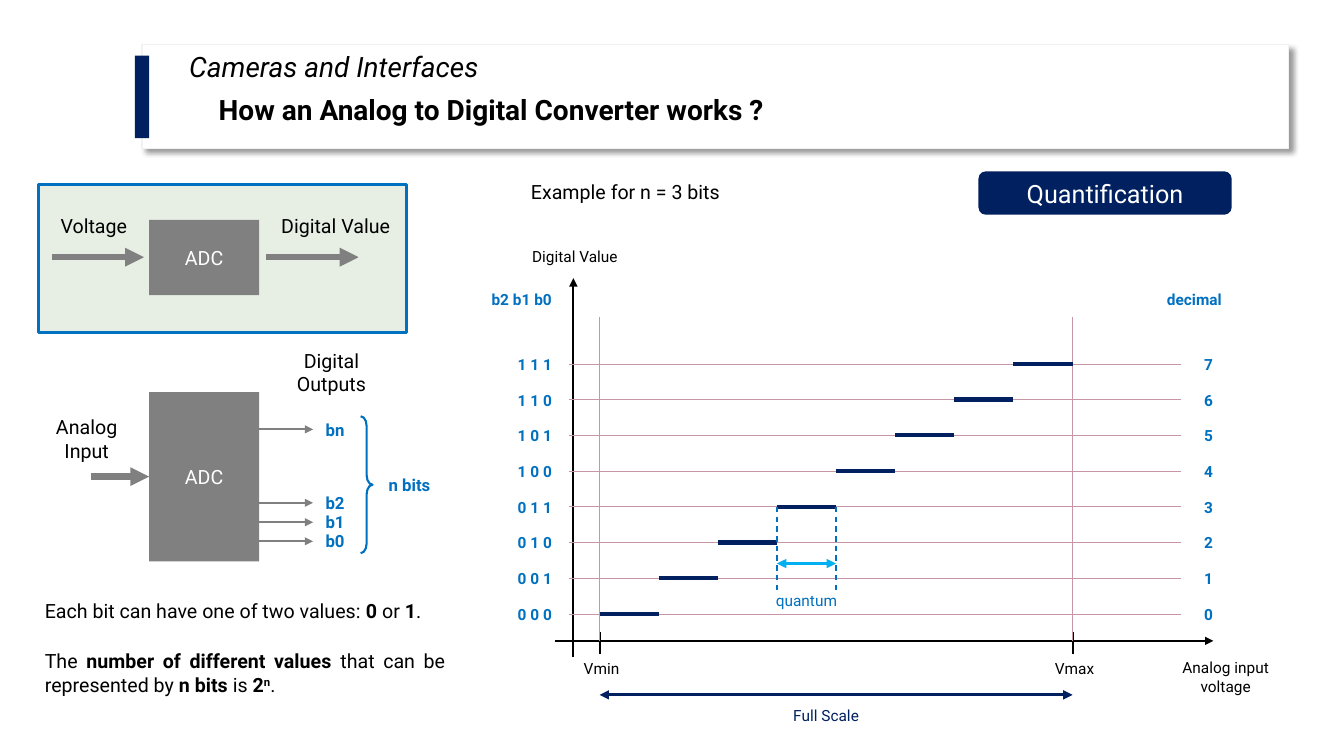
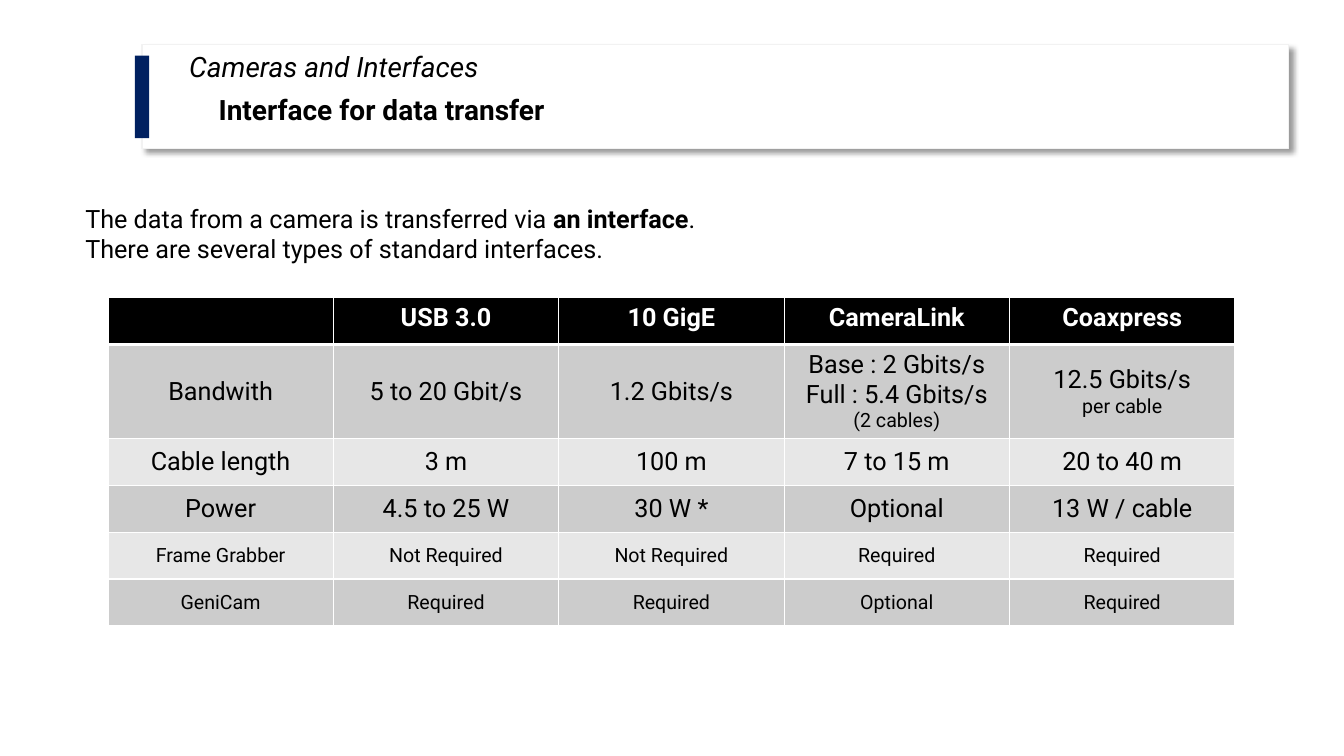
from pptx import Presentation
from pptx.dml.color import RGBColor
from pptx.enum.dml import MSO_LINE
from pptx.enum.shapes import MSO_CONNECTOR, MSO_SHAPE
from pptx.enum.text import MSO_ANCHOR, PP_ALIGN
from pptx.oxml import parse_xml
from pptx.oxml.ns import nsdecls, qn
from pptx.util import Cm, Pt

FONT = "Roboto"
COLORS = {
    "white": "FFFFFF", "black": "000000", "navy": "002060", "blue": "0070C0",
    "sky": "00B0F0", "grey": "808080", "grid": "C696A7", "edge": "F2F2F2",
    "panel": "E7EFE4", "dark_row": "CCCCCC", "light_row": "E7E7E7",
}
LEFT, CENTER, JUSTIFY = PP_ALIGN.LEFT, PP_ALIGN.CENTER, PP_ALIGN.JUSTIFY
MIDDLE, TOP = MSO_ANCHOR.MIDDLE, MSO_ANCHOR.TOP
RECTANGLE, ROUNDED = MSO_SHAPE.RECTANGLE, MSO_SHAPE.ROUNDED_RECTANGLE
BRACE = MSO_SHAPE.RIGHT_BRACE
STRAIGHT, DASH = MSO_CONNECTOR.STRAIGHT, MSO_LINE.DASH
BOLD, SUPERSCRIPT = "bold", "superscript"


def rgb(name):
    return RGBColor.from_string(COLORS[name])


def style_font(font, size, color, bold=False, italic=False):
    font.name, font.size = FONT, Pt(size)
    font.bold, font.italic = bold, italic
    font.color.rgb = rgb(color)


def fill_paragraph(paragraph, content, size, color, align, bold=False, italic=False):
    """Write a string, or a list of strings and (text, style...) tuples."""
    paragraph.alignment = align
    for part in [content] if isinstance(content, str) else content:
        text, *styles = (part,) if isinstance(part, str) else part
        run = paragraph.add_run()
        run.text = text
        style_font(run.font, size, color, bold or BOLD in styles, italic)
        if SUPERSCRIPT in styles:
            run._r.get_or_add_rPr().set("baseline", "30000")


def add_text(slide, left, top, width, height, paragraphs, size=14, color="black",
             align=CENTER, bold=False, italic=False):
    text_box = slide.shapes.add_textbox(Cm(left), Cm(top), Cm(width), Cm(height))
    frame = text_box.text_frame
    frame.word_wrap = True
    for index, content in enumerate(paragraphs):
        paragraph = frame.add_paragraph() if index else frame.paragraphs[0]
        fill_paragraph(paragraph, content, size, color, align, bold, italic)
    return text_box


def add_block(slide, kind, left, top, width, height, fill=None, line=None,
              line_width=1, text="", size=14):
    shape = slide.shapes.add_shape(kind, Cm(left), Cm(top), Cm(width), Cm(height))
    shape.shadow.inherit = False
    if fill:
        shape.fill.solid()
        shape.fill.fore_color.rgb = rgb(fill)
    else:
        shape.fill.background()
    if line:
        shape.line.color.rgb = rgb(line)
        shape.line.width = Pt(line_width)
    else:
        shape.line.fill.background()
    if text:
        shape.text_frame.vertical_anchor = MIDDLE
        fill_paragraph(shape.text_frame.paragraphs[0], text, size, "white", CENTER)
    return shape


def add_line(slide, x1, y1, x2, y2, color, width, heads=(), dash=None):
    """Draw a line; heads holds "headEnd" (start) and/or "tailEnd" (end)."""
    connector = slide.shapes.add_connector(STRAIGHT, Cm(x1), Cm(y1), Cm(x2), Cm(y2))
    connector.line.color.rgb = rgb(color)
    connector.line.width = Pt(width)
    if dash:
        connector.line.dash_style = dash
    properties = connector._element.spPr
    for head in heads:
        properties.find(qn("a:ln")).append(
            parse_xml(f'<a:{head} {nsdecls("a")} type="triangle"/>'))
    properties.append(parse_xml(f'<a:effectLst {nsdecls("a")}/>'))


ARROW = ("tailEnd",)
DOUBLE_ARROW = ("headEnd", "tailEnd")


def add_title_band(slide, title, left=3.4, top=1.12):
    card = add_block(slide, RECTANGLE, left + 0.18, top, 28.9, 2.62, "white", "edge")
    effects = card._element.spPr.find(qn("a:effectLst"))
    effects.append(parse_xml(
        f'<a:outerShdw {nsdecls("a")} blurRad="50800" dist="38100" dir="2700000" '
        f'algn="tl" rotWithShape="0"><a:srgbClr val="{COLORS["black"]}">'
        '<a:alpha val="40000"/></a:srgbClr></a:outerShdw>'))
    chapter = add_text(slide, left + 1.12, top + 0.1, 23.24, 1.96,
                       ["Cameras and Interfaces"], 20, align=LEFT, italic=True)
    chapter.text_frame.paragraphs[0].line_spacing = 0.9
    add_block(slide, RECTANGLE, left, top + 0.28, 0.36, 2.08, "navy")
    add_text(slide, left + 1.86, top + 1.09, 17.45, 1.12, [title], 20,
             align=LEFT, bold=True)


def add_conversion_panel(slide, left, top):
    add_block(slide, RECTANGLE, left, top, 9.27, 3.73, "panel", "blue", 2.25)
    add_block(slide, RECTANGLE, left + 2.79, top + 0.89, 2.77, 1.9, "grey", text="ADC")
    for label, label_x, width, arrow_x in (("Voltage", 0.1, 2.59, 0.33),
                                           ("Digital Value", 5.66, 3.66, 5.74)):
        add_line(slide, left + arrow_x, top + 1.83, left + arrow_x + 2.33, top + 1.83,
                 "grey", 4.5, ARROW)
        add_text(slide, left + label_x, top + 0.61, width, 0.86, [label])


def add_output_bits(slide, left, top):
    block_x, block_width = left + 2.87, 2.77
    block_right = block_x + block_width
    add_block(slide, RECTANGLE, block_x, top + 1.22, block_width, 4.27, "grey",
              text="ADC")
    add_line(slide, left + 1.4, top + 3.35, block_x, top + 3.35, "grey", 4.5, ARROW)
    add_text(slide, left, top + 1.68, 2.59, 1.45, ["Analog Input"])
    add_text(slide, left + 6.17, top, 2.59, 1.45, ["Digital Outputs"])
    for bit, offset in (("bn", 2.16), ("b2", 4.01), ("b1", 4.5), ("b0", 4.98)):
        y = top + offset
        add_line(slide, block_right, y, block_right + 1.36, y, "grey", 1.5, ARROW)
        add_text(slide, left + 6.87, y - 0.38, 1.37, 0.76, [bit], 12, "blue", bold=True)
    brace = add_block(slide, BRACE, left + 8.2, top + 1.83, 0.3, 3.45,
                      line="blue", line_width=1.5)
    brace.adjustments[0], brace.adjustments[1] = 0.81, 0.5
    add_text(slide, left + 8.3, top + 3.18, 2.26, 0.76, ["n bits"], 12, "blue",
             bold=True)


def add_bit_notes(slide, left, top):
    add_text(slide, left, top, 10.9, 0.86, [
        ["Each bit can have one of two values: ", ("0", BOLD), " or ", ("1", BOLD), "."],
    ], align=LEFT)
    add_text(slide, left, top + 1.27, 10.59, 1.45, [
        ["The ", ("number of different values ", BOLD), "that can be represented by ",
         ("n bits ", BOLD), "is ", ("2", BOLD), ("n", BOLD, SUPERSCRIPT), "."],
    ], align=JUSTIFY)


def add_staircase(slide, left, top, bits=3):
    """Draw the quantification curve, one step for each digital level."""
    levels = 2 ** bits
    step, rise = 1.49, 0.9
    v_min, zero_y = left + 3.21, top + 9.37
    v_max = v_min + levels * step
    axis_x, axis_y = left + 2.55, top + 10.05

    def add_label(center, y, text, color="black", bold=False, width=2.5, height=0.74):
        add_text(slide, center - width / 2, y, width, height, text, 11, color, bold=bold)

    add_line(slide, axis_x, axis_y + 0.41, axis_x, top + 0.91, "black", 1.5, ARROW)
    add_line(slide, axis_x - 0.46, axis_y, axis_x + 16.13, axis_y, "black", 1.5, ARROW)
    add_label(left + 2.59, top, ["Digital Value"], width=4.5)
    add_label(left + 18.99, axis_y + 0.31, ["Analog input", "voltage"],
              width=3.43, height=1.19)
    for x, name in ((v_min, "Vmin"), (v_max, "Vmax")):
        add_line(slide, x, axis_y + 0.33, x, axis_y - 0.22, "black", 1.5)
        add_line(slide, x, top + 1.9, x, axis_y, "grid", 0.5)
        add_label(x + 0.05, axis_y + 0.34, [name])

    bits_center, decimal_center = left + 1.58, left + 18.56
    add_label(left + 1.25, top + 1.09, ["b2 b1 b0"], "blue", True)
    add_label(left + 18.2, top + 1.09, ["decimal"], "blue", True)
    for level in range(levels):
        x, y = v_min + level * step, zero_y - level * rise
        add_line(slide, axis_x - 0.12, y, axis_x + 15.32, y, "grid", 0.5)
        add_line(slide, x, y, x + step, y, "navy", 3)
        code = " ".join(format(level, f"0{bits}b"))
        add_label(bits_center, y - 0.35, [code], "blue", True)
        add_label(decimal_center, y - 0.35, [str(level)], "blue", True)

    quantum_x, quantum_y = v_min + 3 * step, zero_y - 3 * rise
    for x in (quantum_x, quantum_x + step):
        add_line(slide, x, quantum_y, x, quantum_y + 2.1, "blue", 1, dash=DASH)
    add_line(slide, quantum_x, quantum_y + 1.43, quantum_x + step, quantum_y + 1.43,
             "sky", 2.25, DOUBLE_ARROW)
    add_label(quantum_x + step / 2, quantum_y + 2.01, ["quantum"], "blue")
    add_line(slide, v_min, axis_y + 1.36, v_max, axis_y + 1.36, "navy", 2.25,
             DOUBLE_ARROW)
    add_label((v_min + v_max) / 2 - 0.25, axis_y + 1.53, ["Full Scale"], "navy")


def set_cell_borders(cell, bottom_width):
    properties = cell._tc.get_or_add_tcPr()
    for side, width in (("L", 1), ("R", 1), ("T", 1), ("B", bottom_width)):
        properties.append(parse_xml(
            f'<a:ln{side} {nsdecls("a")} w="{Pt(width)}"><a:solidFill>'
            f'<a:srgbClr val="{COLORS["white"]}"/></a:solidFill></a:ln{side}>'))


INTERFACES = [
    ["", "USB 3.0", "10 GigE", "CameraLink", "Coaxpress"],
    ["Bandwith", "5 to 20 Gbit/s", "1.2 Gbits/s",
     "Base : 2 Gbits/s\nFull : 5.4 Gbits/s\n(2 cables)", "12.5 Gbits/s\nper cable"],
    ["Cable length", "3 m", "100 m", "7 to 15 m", "20 to 40 m"],
    ["Power", "4.5 to 25 W", "30 W *", "Optional", "13 W / cable"],
    ["Frame Grabber", "Not Required", "Not Required", "Required", "Required"],
    ["GeniCam", "Required", "Required", "Optional", "Required"],
]
SMALL_ROWS = ("Frame Grabber", "GeniCam")
SMALL_LINES = ("(2 cables)", "per cable")


def add_interface_table(slide, left, top, width=28.4, row_height=1.18):
    row_count, column_count = len(INTERFACES), len(INTERFACES[0])
    table = slide.shapes.add_table(row_count, column_count, Cm(left), Cm(top), Cm(width),
                                   Cm(row_height * (row_count + 1))).table
    for column in table.columns:
        column.width = Cm(width / column_count)
    for row_index, values in enumerate(INTERFACES):
        header = row_index == 0
        fill = "black" if header else "dark_row" if row_index % 2 else "light_row"
        table.rows[row_index].height = Cm(row_height * (2 if row_index == 1 else 1))
        for column_index, value in enumerate(values):
            cell = table.cell(row_index, column_index)
            set_cell_borders(cell, 3 if header else 1)
            cell.fill.solid()
            cell.fill.fore_color.rgb = rgb(fill)
            cell.vertical_anchor = TOP if header else MIDDLE
            cell.text_frame.text = value
            for paragraph in cell.text_frame.paragraphs:
                paragraph.alignment = CENTER
                small = values[0] in SMALL_ROWS or paragraph.text in SMALL_LINES
                for run in paragraph.runs:
                    style_font(run.font, 14 if small else 18,
                               "white" if header else "black", header)


def add_slide(presentation, title):
    slide = presentation.slides.add_slide(presentation.slide_layouts[6])
    add_title_band(slide, title)
    return slide


def build_converter_slide(presentation):
    slide = add_slide(presentation, "How an Analog to Digital Converter works ?")
    add_conversion_panel(slide, 0.97, 4.65)
    add_output_bits(slide, 0.89, 8.66)
    add_bit_notes(slide, 0.88, 14.96)
    add_text(slide, 13.13, 4.42, 10.9, 0.86, ["Example for n = 3 bits"], align=LEFT)
    add_staircase(slide, 11.9, 6.1)
    add_block(slide, ROUNDED, 24.66, 4.32, 6.38, 1.09, "navy",
              text="Quantification", size=18)


def build_interface_slide(presentation):
    slide = add_slide(presentation, "Interface for data transfer")
    add_text(slide, 1.9, 5, 17.88, 1.8, [
        ["The data from a camera is transferred via ", ("an interface", BOLD), "."],
        "There are several types of standard interfaces.",
    ], 18, align=JUSTIFY)
    add_interface_table(slide, 2.72, 7.5)


def main():
    presentation = Presentation()
    presentation.slide_width, presentation.slide_height = Cm(33.87), Cm(19.05)
    build_converter_slide(presentation)
    build_interface_slide(presentation)
    presentation.save("out.pptx")


if __name__ == "__main__":
    main()
